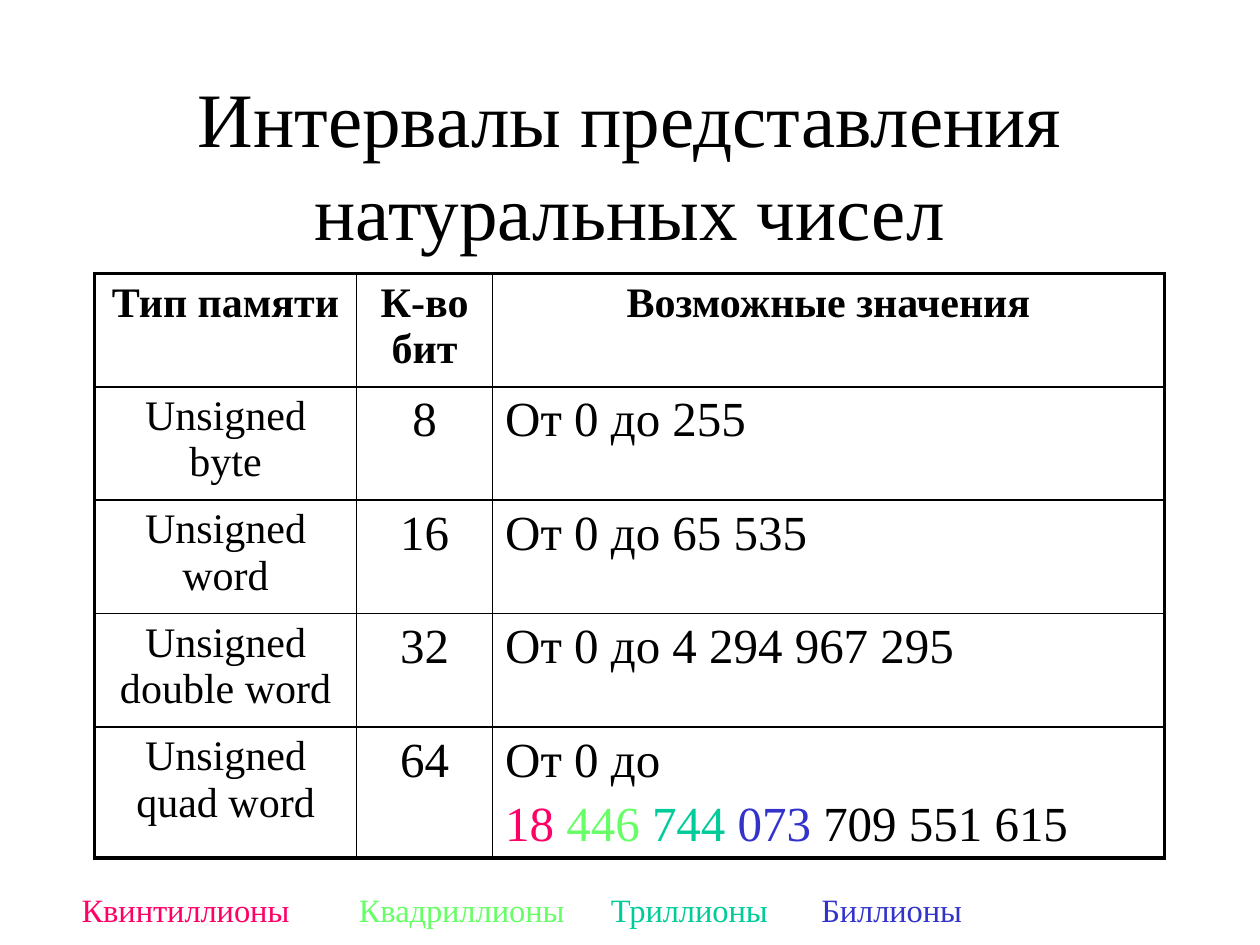
from dataclasses import dataclass

from lxml.etree import SubElement
from pptx import Presentation
from pptx.dml.color import RGBColor
from pptx.enum.text import MSO_ANCHOR, MSO_AUTO_SIZE, PP_ALIGN
from pptx.oxml.ns import qn
from pptx.util import Inches, Pt


@dataclass(frozen=True)
class Theme:
    face: str = "Times New Roman"
    ink: str = "000000"
    pink: str = "FF0066"
    lime: str = "66FF66"
    teal: str = "00CC99"
    blue: str = "3333CC"
    title: int = 44
    label: int = 32
    value: int = 28
    name: int = 24
    thick: float = 2.25
    thin: float = 1


THEME = Theme()

HEADS = ["Тип памяти", "К-во бит", "Возможные значения"]
TYPES = [
    ("Unsigned byte", "8", "От 0 до 255"),
    ("Unsigned word", "16", "От 0 до 65 535"),
    ("Unsigned double word", "32", "От 0 до 4 294 967 295"),
    ("Unsigned quad word", "64", "От 0 до"),
]
GROUPS = [
    ("18 ", THEME.pink),
    ("446 ", THEME.lime),
    ("744 ", THEME.teal),
    ("073", THEME.blue),
    (" 709 551 615", THEME.ink),
]
LABELS = [
    ("Квинтиллионы", 0.55, 2.29, THEME.pink),
    ("Квадриллионы", 2.75, 2.08, THEME.lime),
    ("Триллионы", 4.75, 1.75, THEME.teal),
    ("Биллионы", 6.42, 1.75, THEME.blue),
]
WIDTHS = [2.08, 1.08, 5.33]


def style(para, size, color=THEME.ink, bold=False, align=PP_ALIGN.LEFT):
    para.alignment = align
    font = para.font
    font.name = THEME.face
    font.size = Pt(size)
    font.bold = bold
    font.color.rgb = RGBColor.from_string(color)


def add_title(slide, text):
    title = slide.shapes.title
    title.left, title.top = Inches(0.75), Inches(0.67)
    title.width, title.height = Inches(8.5), Inches(1.25)
    frame = title.text_frame
    frame.text = text
    frame.auto_size = MSO_AUTO_SIZE.NONE
    frame.vertical_anchor = MSO_ANCHOR.MIDDLE
    style(frame.paragraphs[0], THEME.title, align=PP_ALIGN.CENTER)


def add_edges(cell, outer):
    props = cell._tc.get_or_add_tcPr()
    for side in "LRTB":
        width = THEME.thick if side in outer else THEME.thin
        line = SubElement(props, qn(f"a:ln{side}"), w=str(Pt(width)))
        fill = SubElement(line, qn("a:solidFill"))
        SubElement(fill, qn("a:srgbClr"), val=THEME.ink)


def fill_cell(cell, text, row, col):
    cell.text = text
    head = row == 0
    size = THEME.name if head or col == 0 else THEME.value
    align = PP_ALIGN.JUSTIFY if col == 2 and not head else PP_ALIGN.CENTER
    style(cell.text_frame.paragraphs[0], size, bold=head, align=align)
    ends = {"L": col == 0, "R": col == 2, "T": head, "B": row == len(TYPES)}
    add_edges(cell, [side for side, on in ends.items() if on])
    cell.fill.background()


def add_groups(cell):
    para = cell.text_frame.add_paragraph()
    style(para, THEME.value, align=PP_ALIGN.JUSTIFY)
    para.space_before = Pt(0.2 * THEME.value)
    for text, color in GROUPS:
        run = para.add_run()
        run.text = text
        run.font.color.rgb = RGBColor.from_string(color)


def add_grid(slide):
    rows = [HEADS, *TYPES]
    table = slide.shapes.add_table(
        len(rows), len(WIDTHS), Inches(0.75), Inches(2.17),
        Inches(8.5), Inches(0.9 * len(rows))
    ).table
    table.first_row = table.horz_banding = False
    for column, width in zip(table.columns, WIDTHS):
        column.width = Inches(width)
    for row, texts in enumerate(rows):
        for col, text in enumerate(texts):
            fill_cell(table.cell(row, col), text, row, col)
    add_groups(table.cell(len(TYPES), 2))


def add_label(slide, text, left, width, color):
    box = slide.shapes.add_textbox(
        Inches(left), Inches(6.72), Inches(width), Inches(0.45))
    frame = box.text_frame
    frame.word_wrap = True
    para = frame.paragraphs[0]
    run = para.add_run()
    run.text = text
    run._r.get_or_add_rPr().set("baseline", "-25000")
    style(para, THEME.label, color)


def main():
    deck = Presentation()
    deck.slide_width, deck.slide_height = Inches(10), Inches(7.5)
    slide = deck.slides.add_slide(deck.slide_layouts[5])
    add_title(slide, "Интервалы представления натуральных чисел")
    add_grid(slide)
    for label in LABELS:
        add_label(slide, *label)
    deck.save("out.pptx")


if __name__ == "__main__":
    main()
